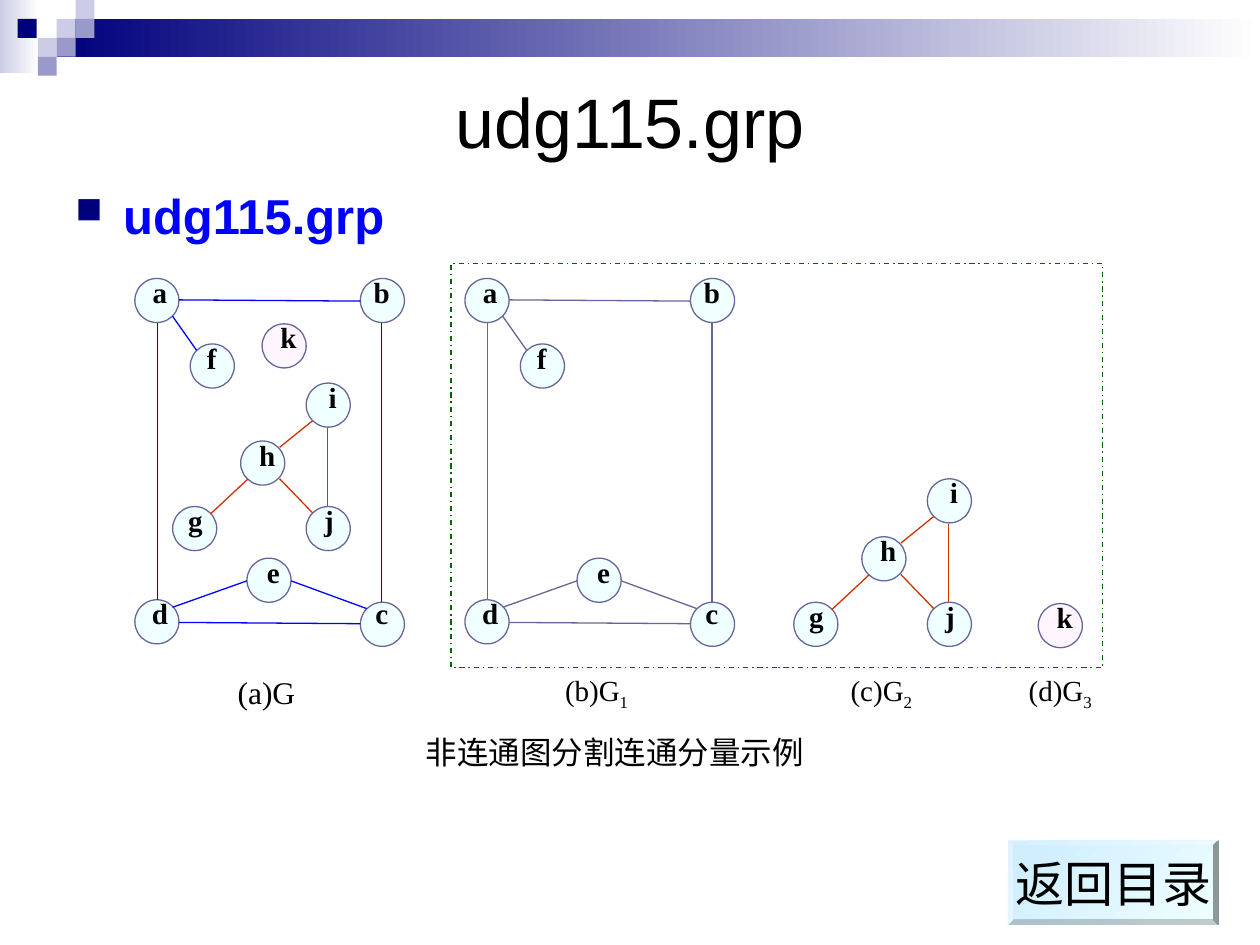
from lxml import etree
from pptx import Presentation
from pptx.dml.color import RGBColor
from pptx.enum.dml import MSO_LINE
from pptx.enum.shapes import MSO_CONNECTOR, MSO_SHAPE
from pptx.enum.text import MSO_ANCHOR, PP_ALIGN
from pptx.oxml.ns import qn
from pptx.util import Pt

PX = 9144
RECTANGLE, OVAL, BEVEL = MSO_SHAPE.RECTANGLE, MSO_SHAPE.OVAL, MSO_SHAPE.BEVEL
STRAIGHT = MSO_CONNECTOR.STRAIGHT
DASH_DOT = MSO_LINE.DASH_DOT
CENTER, LEFT = PP_ALIGN.CENTER, PP_ALIGN.LEFT
TOP, MIDDLE = MSO_ANCHOR.TOP, MSO_ANCHOR.MIDDLE

BLACK = RGBColor(0x00, 0x00, 0x00)
WHITE = RGBColor(0xFF, 0xFF, 0xFF)
NAVY = RGBColor(0x00, 0x00, 0x7D)
LAVENDER = RGBColor(0xCC, 0xCC, 0xE6)
PERIWINKLE = RGBColor(0x99, 0x99, 0xCC)
BLUE = RGBColor(0x00, 0x00, 0xFF)
SLATE = RGBColor(0x66, 0x66, 0x99)
RUST = RGBColor(0xCC, 0x33, 0x00)
GREEN = RGBColor(0x00, 0x66, 0x00)
AZURE = RGBColor(0xF0, 0xFF, 0xFF)
PINK = RGBColor(0xFF, 0xF5, 0xFF)
SKY = RGBColor(0xCC, 0xEC, 0xFF)

SANS, SERIF = "Arial", "Times New Roman"
NODE_SIZE = 35
LABEL_POINTS = 16.6

SQUARES = [
    (45, 15, LAVENDER), (60, 0, LAVENDER), (60, 15, PERIWINKLE), (30, 30, LAVENDER),
    (14, 15, NAVY), (45, 30, PERIWINKLE), (30, 45, PERIWINKLE),
]

# name: (left, top, label shift right, label shift down)
LARGE_NODES = {
    "a": (107, 221, 8, 0), "b": (286, 221, 5, 0), "c": (286, 478, 5, -2),
    "d": (107, 476, 8, 0), "e": (196, 443, 9, 0), "f": (151, 273, 5, 0),
}
LARGE_EDGES = [
    (142, 238, 286, 239), (303, 256, 303, 478), (137, 251, 156, 278), (125, 256, 125, 476),
    (142, 494, 286, 495), (137, 482, 196, 461), (231, 461, 291, 483),
]
SMALL_NODES = {
    "g": (137, 402, 6, 0), "h": (191, 350, 9, 0), "i": (243, 304, 9, 0), "j": (243, 402, 6, 0),
}
SMALL_EDGES = [
    (260, 340, 260, 402), (167, 408, 197, 380), (222, 355, 248, 334), (248, 407, 222, 380),
]
SINGLE_NODES = {"k": (208, 257, 9, 0)}


class SlideBuilder:
    def __init__(self, slide):
        self.slide = slide

    def shape(self, kind, left, top, width, height, fill=None, line=None):
        shape = self.slide.shapes.add_shape(kind, left * PX, top * PX, width * PX, height * PX)
        shape.shadow.inherit = False
        if fill is None:
            shape.fill.background()
        else:
            shape.fill.solid()
            shape.fill.fore_color.rgb = fill
        if line is None:
            shape.line.fill.background()
        else:
            shape.line.color.rgb = line
            shape.line.width = Pt(0.75)
        return shape

    def gradient(self, kind, left, top, width, height, start, end, angle=0):
        shape = self.shape(kind, left, top, width, height)
        shape.fill.gradient()
        shape.fill.gradient_angle = angle
        for stop, color in zip(shape.fill.gradient_stops, (start, end)):
            stop.color.rgb = color
        return shape

    def style(self, paragraph, points, font, color=BLACK, bold=False, align=CENTER):
        paragraph.alignment = align
        for run in paragraph.runs:
            run.font.size = Pt(points)
            run.font.name = font
            run.font.color.rgb = color
            run.font.bold = bold

    def text(self, left, top, width, height, text, points, font, subscript="", spacing=None,
             inset=True, anchor=TOP, **look):
        box = self.slide.shapes.add_textbox(left * PX, top * PX, width * PX, height * PX)
        frame = box.text_frame
        frame.word_wrap = True
        frame.vertical_anchor = anchor
        if not inset:
            frame.margin_left = frame.margin_right = frame.margin_top = frame.margin_bottom = 0
        frame.text = text
        paragraph = frame.paragraphs[0]
        if subscript:
            run = paragraph.add_run()
            run.text = subscript
            run._r.get_or_add_rPr().set("baseline", "-25000")
        if spacing:
            paragraph.line_spacing = spacing
        self.style(paragraph, points, font, **look)
        return paragraph

    def bullet(self, paragraph, symbol, color, percent, indent):
        properties = paragraph._p.get_or_add_pPr()
        properties.set("marL", str(indent * PX))
        properties.set("indent", str(-indent * PX))
        bullet_color = etree.SubElement(properties, qn("a:buClr"))
        etree.SubElement(bullet_color, qn("a:srgbClr")).set("val", str(color))
        etree.SubElement(properties, qn("a:buSzPct")).set("val", str(percent * 1000))
        etree.SubElement(properties, qn("a:buChar")).set("char", symbol)

    def edge(self, x1, y1, x2, y2, color):
        connector = self.slide.shapes.add_connector(STRAIGHT, x1 * PX, y1 * PX, x2 * PX, y2 * PX)
        connector.line.color.rgb = color
        connector.line.width = Pt(0.75)
        etree.SubElement(connector._element.spPr, qn("a:effectLst"))

    def graph(self, nodes, edges=(), edge_color=SLATE, dx=0, dy=0, fill=AZURE):
        for name, (left, top, shift_x, shift_y) in nodes.items():
            x, y = left + dx, top + dy
            self.shape(OVAL, x, y, NODE_SIZE, NODE_SIZE, fill, SLATE)
            self.text(x + shift_x, y + shift_y, 24, 29, name, LABEL_POINTS, SERIF,
                      spacing=0.9, inset=False, bold=True)
        for x1, y1, x2, y2 in edges:
            self.edge(x1 + dx, y1 + dy, x2 + dx, y2 + dy, edge_color)

    def button(self, left, top, width, height, text):
        shape = self.gradient(BEVEL, left, top, width, height, SKY, AZURE, 315)
        shape.adjustments[0] = 0.06
        frame = shape.text_frame
        frame.word_wrap = False
        frame.vertical_anchor = MIDDLE
        frame.text = text
        self.style(frame.paragraphs[0], 28, SANS)


def main():
    presentation = Presentation()
    presentation.slide_width = 1000 * PX
    presentation.slide_height = 750 * PX
    builder = SlideBuilder(presentation.slides.add_slide(presentation.slide_layouts[6]))

    builder.gradient(RECTANGLE, 0, 0, 31, 58, LAVENDER, WHITE)
    builder.gradient(RECTANGLE, 45, 15, 955, 30, NAVY, WHITE)
    for left, top, color in SQUARES:
        builder.shape(RECTANGLE, left, top, 15, 15, color)

    builder.text(50, 50, 900, 92, "udg115.grp", 40, SANS, anchor=MIDDLE)
    heading = builder.text(50, 142, 900, 533, "udg115.grp", 28, SANS,
                           color=BLUE, bold=True, align=LEFT)
    builder.bullet(heading, "■", NAVY, 75, 38)

    builder.text(304, 577, 368, 44, "非连通图分割连通分量示例", 18, SERIF)
    builder.text(170, 529, 83, 44, "(a)G", 18, SERIF)
    for left, caption, subscript in ((432, "(b)G", "1"), (658, "(c)G", "2"), (800, "(d)G", "3")):
        builder.text(left, 529, 83, 44, caption, LABEL_POINTS, SERIF, subscript, spacing=0.9)

    builder.graph(LARGE_NODES, LARGE_EDGES, BLUE)
    builder.graph(SMALL_NODES, SMALL_EDGES, RUST)
    builder.graph(SINGLE_NODES, fill=PINK)
    builder.graph(LARGE_NODES, LARGE_EDGES, SLATE, dx=262)
    builder.graph(SMALL_NODES, SMALL_EDGES, RUST, dx=493, dy=76)
    builder.graph(SINGLE_NODES, dx=616, dy=222, fill=PINK)

    frame = builder.shape(RECTANGLE, 358, 209, 517, 321, line=GREEN)
    frame.line.dash_style = DASH_DOT
    builder.button(800, 667, 167, 67, "返回目录")

    presentation.save("out.pptx")


if __name__ == "__main__":
    main()
